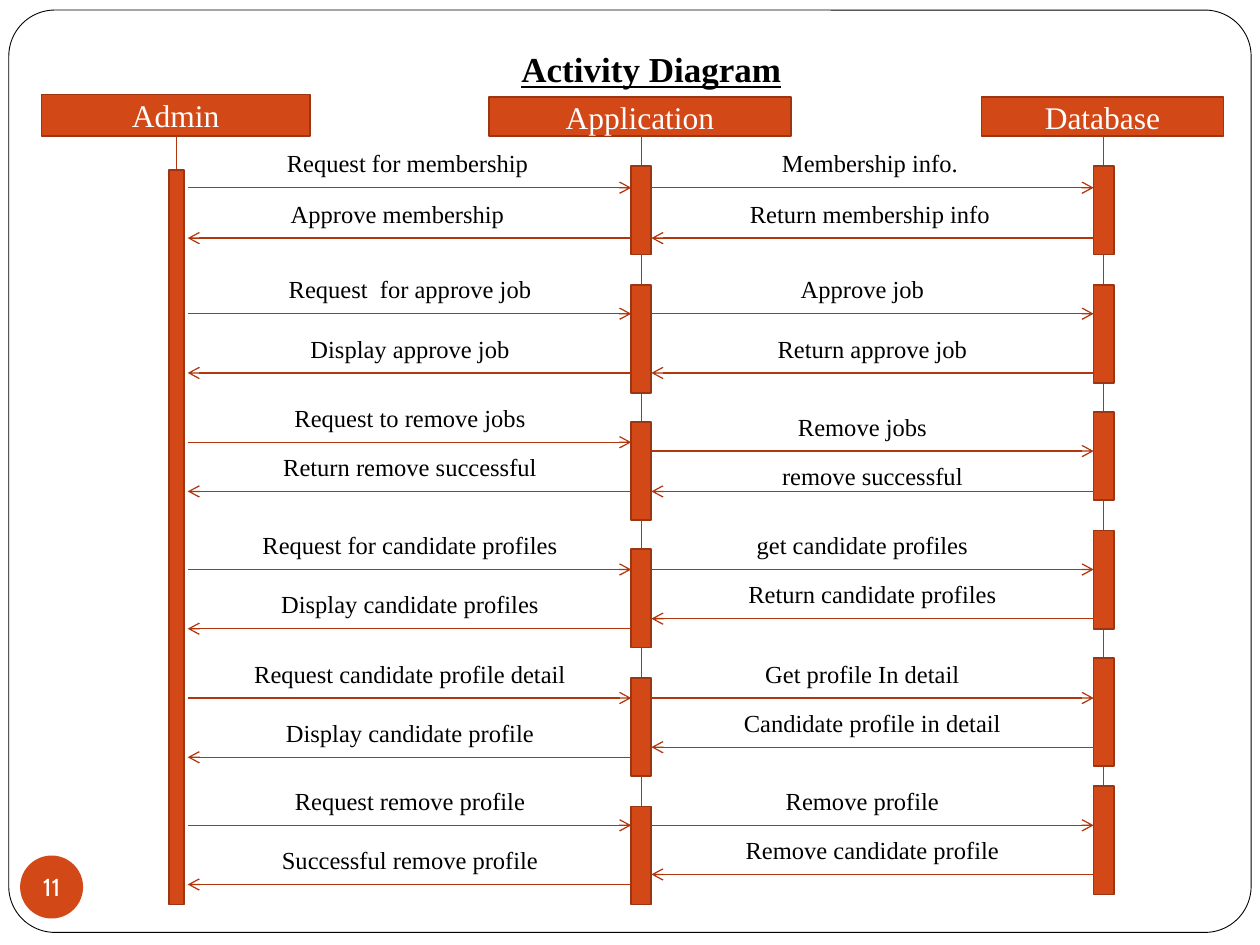
from dataclasses import dataclass
from itertools import pairwise

from lxml import etree
from pptx import Presentation
from pptx.dml.color import RGBColor
from pptx.enum.shapes import MSO_CONNECTOR, MSO_SHAPE
from pptx.enum.text import MSO_ANCHOR, MSO_AUTO_SIZE, PP_ALIGN
from pptx.oxml.ns import qn
from pptx.util import Inches, Pt

RECT, ROUND_RECT, OVAL = MSO_SHAPE.RECTANGLE, MSO_SHAPE.ROUNDED_RECTANGLE, MSO_SHAPE.OVAL
STRAIGHT = MSO_CONNECTOR.STRAIGHT
CENTER, MIDDLE, TOP = PP_ALIGN.CENTER, MSO_ANCHOR.MIDDLE, MSO_ANCHOR.TOP
SERIF = "Times New Roman"
ORANGE, EDGE, ARROW = "D34817", "9C3511", "B1360B"
WHITE, BLACK = "FFFFFF", "000000"
LABEL_W, LABEL_H = 2.73, 0.23


@dataclass
class Lane:
    name: str
    header: tuple[float, float, float, float]
    bar_left: float
    bar_width: float
    bars: list[tuple[float, float]]  # top, height

    @property
    def right(self) -> float:
        return self.bar_left + self.bar_width


@dataclass
class Message:
    text: str
    y: float
    label_left: float
    ends: tuple[float, float]
    rise: float = 0.31  # from the arrow up to the top of the label


ADMIN = Lane("Admin", (0.33, 0.75, 2.13, 0.33), 1.34, 0.12, [(1.35, 5.83)])
APPLICATION = Lane("Application", (3.88, 0.77, 2.4, 0.31), 5.01, 0.16,
                   [(1.32, 0.7), (2.26, 0.86), (3.35, 0.78),
                    (4.36, 0.78), (5.38, 0.78), (6.4, 0.78)])
DATABASE = Lane("Database", (7.79, 0.77, 1.92, 0.31), 8.68, 0.16,
                [(1.32, 0.7), (2.26, 0.78), (3.27, 0.7),
                 (4.21, 0.78), (5.22, 0.86), (6.24, 0.86)])

ADMIN_END = 1.49  # arrows stop just clear of the admin bar
REQUESTS = (ADMIN_END, APPLICATION.bar_left)
QUERIES = (APPLICATION.right, DATABASE.bar_left)
RESULTS = QUERIES[::-1]
REPLIES = REQUESTS[::-1]

MESSAGES = [
    Message("Request for membership", 1.49, 1.87, REQUESTS),
    Message("Membership info.", 1.49, 5.54, QUERIES),
    Message("Return membership info", 1.89, 5.54, RESULTS),
    Message("Approve membership", 1.89, 1.79, REPLIES),
    Message("Request  for approve job", 2.49, 1.89, REQUESTS),
    Message("Approve job", 2.49, 5.48, QUERIES),
    Message("Return approve job", 2.96, 5.56, RESULTS),
    Message("Display approve job", 2.96, 1.89, REPLIES),
    Message("Request to remove jobs", 3.51, 1.89, REQUESTS),
    Message("Remove jobs", 3.58, 5.48, QUERIES),
    Message("remove successful", 3.9, 5.56, RESULTS, rise=0.24),
    Message("Return remove successful", 3.9, 1.89, REPLIES),
    Message("Request for candidate profiles", 4.52, 1.89, REQUESTS),
    Message("get candidate profiles", 4.52, 5.48, QUERIES),
    Message("Return candidate profiles", 4.91, 5.56, RESULTS),
    Message("Display candidate profiles", 4.99, 1.89, REPLIES),
    Message("Request candidate profile detail", 5.54, 1.89, REQUESTS),
    Message("Get profile In detail", 5.54, 5.48, QUERIES),
    Message("Candidate profile in detail", 5.93, 5.56, RESULTS),
    Message("Display candidate profile", 6.01, 1.89, REPLIES),
    Message("Request remove profile", 6.55, 1.89, REQUESTS),
    Message("Remove profile", 6.55, 5.48, QUERIES),
    Message("Remove candidate profile", 6.94, 5.56, RESULTS),
    Message("Successful remove profile", 7.02, 1.89, REPLIES),
]


def rgb(value: str) -> RGBColor:
    return RGBColor.from_string(value)


def add_box(s, kind, box, fill: str, line: str | None = None, width: float = 1):
    sp = s.shapes.add_shape(kind, *map(Inches, box))
    sp.shadow.inherit = False
    sp.fill.solid()
    sp.fill.fore_color.rgb = rgb(fill)
    if line:
        sp.line.color.rgb = rgb(line)
        sp.line.width = Pt(width)
    else:
        sp.line.fill.background()
    return sp


def write(sp, text: str, size: float, color: str, name: str = SERIF):
    """Put one centred paragraph in a shape and return it."""
    tf = sp.text_frame
    tf.text = text
    tf.word_wrap = True
    tf.vertical_anchor = MIDDLE
    p = tf.paragraphs[0]
    p.alignment = CENTER
    p.font.size, p.font.name = Pt(size), name
    p.font.color.rgb = rgb(color)
    return p


def add_line(s, x1: float, y1: float, x2: float, y2: float, arrow: bool = False) -> None:
    cx = s.shapes.add_connector(STRAIGHT, *map(Inches, (x1, y1, x2, y2)))
    cx.line.color.rgb = rgb(ARROW)
    cx.line.width = Pt(0.75)
    sp_pr = cx._element.spPr
    if arrow:
        etree.SubElement(sp_pr.find(qn("a:ln")), qn("a:tailEnd"), type="arrow")
    etree.SubElement(sp_pr, qn("a:effectLst"))


def draw_lane(s, lane: Lane) -> None:
    write(add_box(s, RECT, lane.header, ORANGE, EDGE), lane.name, 18, WHITE)
    _, top, _, height = lane.header
    x = lane.bar_left + lane.bar_width / 2
    for (y1, h1), (y2, h2) in pairwise([(top, height), *lane.bars]):
        add_line(s, x, y1 + h1, x, y2)
        add_box(s, RECT, (lane.bar_left, y2, lane.bar_width, h2), ORANGE, EDGE)


def draw_messages(s, messages: list[Message]) -> None:
    """Draw every label before the arrows, so that no label hides an arrow."""
    for m in messages:
        box = (m.label_left, m.y - m.rise, LABEL_W, LABEL_H)
        write(add_box(s, RECT, box, WHITE, WHITE), m.text, 14, BLACK)
    for m in messages:
        start, end = m.ends
        add_line(s, start, m.y, end, m.y, arrow=True)


def draw_title(s, text: str) -> None:
    sp = s.shapes.title
    sp.left, sp.top, sp.width, sp.height = map(Inches, (0.42, 0.33, 9.5, 0.42))
    p = write(sp, text, 20, BLACK)
    p.font.bold = p.font.underline = True
    tf = sp.text_frame
    tf.auto_size = MSO_AUTO_SIZE.NONE
    tf.vertical_anchor = TOP


def draw_page_number(s, number: str) -> None:
    sp = add_box(s, OVAL, (0.16, 6.79, 0.5, 0.5), ORANGE)
    write(sp, number, 14, WHITE, "Cabin")
    tf = sp.text_frame
    tf.word_wrap = False
    tf.margin_left = tf.margin_right = tf.margin_top = tf.margin_bottom = 0


def main() -> None:
    prs = Presentation()
    prs.slide_width, prs.slide_height = Inches(10), Inches(7.5)
    s = prs.slides.add_slide(prs.slide_layouts[5])
    frame = add_box(s, ROUND_RECT, (0.07, 0.08, 9.86, 7.32), WHITE, BLACK, 0.5)
    frame.adjustments[0] = 0.05
    title = s.shapes.title._element
    title.getparent().append(title)  # bring the title in front of the frame
    draw_title(s, "Activity Diagram")
    draw_page_number(s, "11")
    for lane in (ADMIN, APPLICATION, DATABASE):
        draw_lane(s, lane)
    draw_messages(s, MESSAGES)
    prs.save("out.pptx")


if __name__ == "__main__":
    main()
